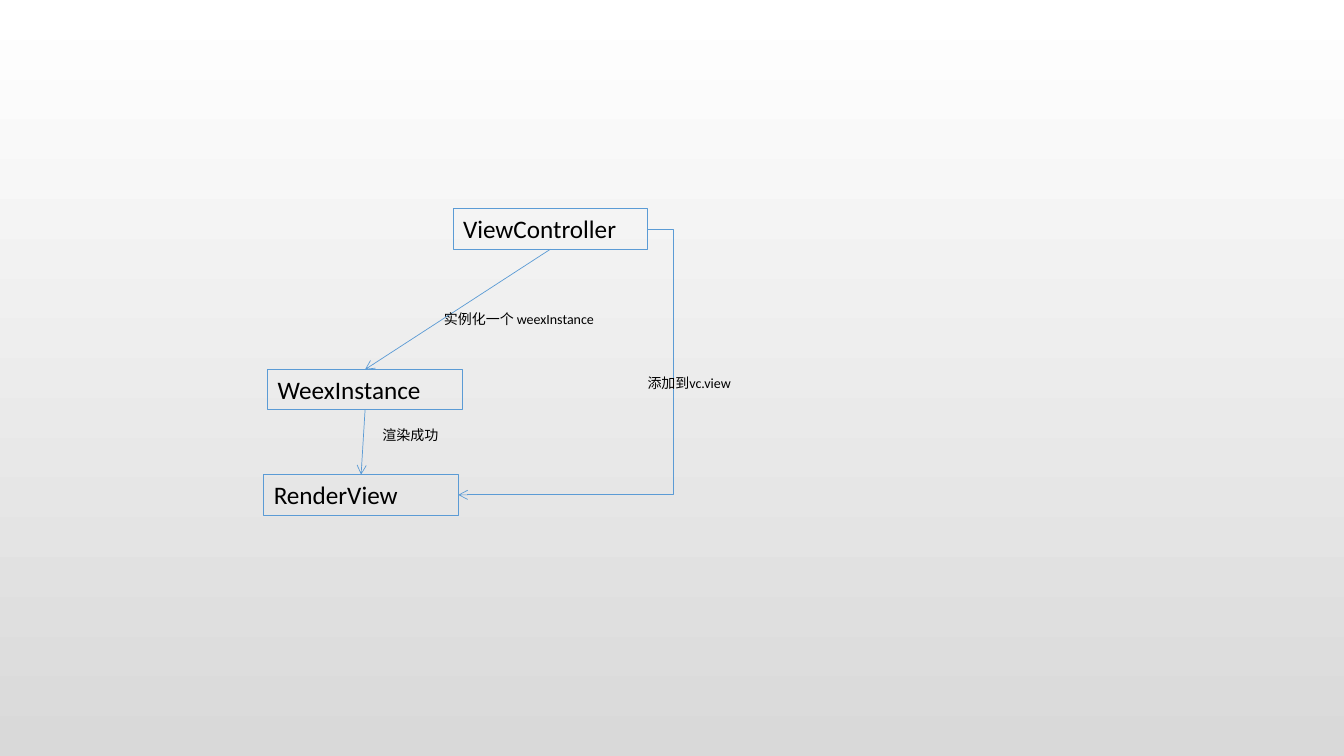
from lxml.etree import SubElement
from pptx import Presentation
from pptx.dml.color import RGBColor
from pptx.enum.shapes import MSO_CONNECTOR, MSO_SHAPE
from pptx.enum.text import MSO_ANCHOR, MSO_AUTO_SIZE, PP_ALIGN
from pptx.oxml.ns import qn
from pptx.util import Cm, Pt

BLACK = RGBColor(0x00, 0x00, 0x00)
BLUE = RGBColor(0x5B, 0x9B, 0xD5)
WHITE = RGBColor(0xFF, 0xFF, 0xFF)
GREY = RGBColor(0xD9, 0xD9, 0xD9)
FONT = "Calibri"
TOP, BOTTOM, RIGHT = 0, 2, 3


def paint_background(slide):
    """Fill the slide with a gradient from white at the top to grey."""
    fill = slide.background.fill
    fill.gradient()
    fill.gradient_angle = 270
    for stop, color, position in zip(fill.gradient_stops, (WHITE, GREY), (0, 1)):
        stop.color.rgb = color
        stop.position = position


def write_text(shape, text, size):
    """Write one left-aligned line of black text into a shape."""
    frame = shape.text_frame
    frame.word_wrap = True
    frame.auto_size = MSO_AUTO_SIZE.SHAPE_TO_FIT_TEXT
    frame.vertical_anchor = MSO_ANCHOR.TOP
    paragraph = frame.paragraphs[0]
    paragraph.alignment = PP_ALIGN.LEFT
    run = paragraph.add_run()
    run.text = text
    run.font.name = FONT
    run.font.size = Pt(size)
    run.font.color.rgb = BLACK


def add_class_box(slide, name, left, top):
    """Add an outlined box that holds a class name."""
    shape = slide.shapes.add_shape(
        MSO_SHAPE.RECTANGLE, Cm(left), Cm(top), Cm(4.9), Cm(1.02))
    shape.shadow.inherit = False
    shape.fill.background()
    shape.line.color.rgb = BLUE
    shape.line.width = Pt(0.75)
    write_text(shape, name, 18)
    return shape


def add_label(slide, text, left, top):
    """Add a small caption beside an arrow."""
    shape = slide.shapes.add_textbox(Cm(left), Cm(top), Cm(6.68), Cm(0.69))
    write_text(shape, text, 10)


def add_arrow(slide, source, source_side, target, target_side,
              kind=MSO_CONNECTOR.STRAIGHT):
    """Join two boxes with a thin arrow that points at the target."""
    connector = slide.shapes.add_connector(
        kind, source.left, source.top, target.left, target.top)
    connector.begin_connect(source, source_side)
    connector.end_connect(target, target_side)
    connector.line.color.rgb = BLUE
    connector.line.width = Pt(0.5)
    SubElement(connector.line._get_or_add_ln(), qn("a:tailEnd"), type="arrow")
    SubElement(connector._element.spPr, qn("a:effectLst"))
    return connector


def set_bend(connector, percent):
    """Place the bend of an elbow connector at a percentage of its width."""
    geometry = connector._element.spPr.find(qn("a:prstGeom"))
    adjustments = geometry.find(qn("a:avLst"))
    if adjustments is None:
        adjustments = SubElement(geometry, qn("a:avLst"))
    SubElement(adjustments, qn("a:gd"), name="adj1",
               fmla=f"val {round(percent * 1000)}")


def main():
    """Build the slide and save it."""
    presentation = Presentation()
    presentation.slide_width = Cm(33.87)
    presentation.slide_height = Cm(19.05)
    slide = presentation.slides.add_slide(presentation.slide_layouts[6])
    paint_background(slide)

    controller = add_class_box(slide, "ViewController", 11.42, 5.26)
    instance = add_class_box(slide, "WeexInstance", 6.75, 9.31)
    view = add_class_box(slide, "RenderView", 6.65, 11.96)

    add_arrow(slide, controller, BOTTOM, instance, TOP)
    add_label(slide, "实例化一个 weexInstance", 10.94, 7.7)
    add_arrow(slide, instance, BOTTOM, view, TOP)
    add_label(slide, "渲染成功", 9.39, 10.62)
    elbow = add_arrow(slide, controller, RIGHT, view, RIGHT, MSO_CONNECTOR.ELBOW)
    set_bend(elbow, -13.8)
    add_label(slide, "添加到vc.view", 16.07, 9.3)

    presentation.save("out.pptx")


if __name__ == "__main__":
    main()
